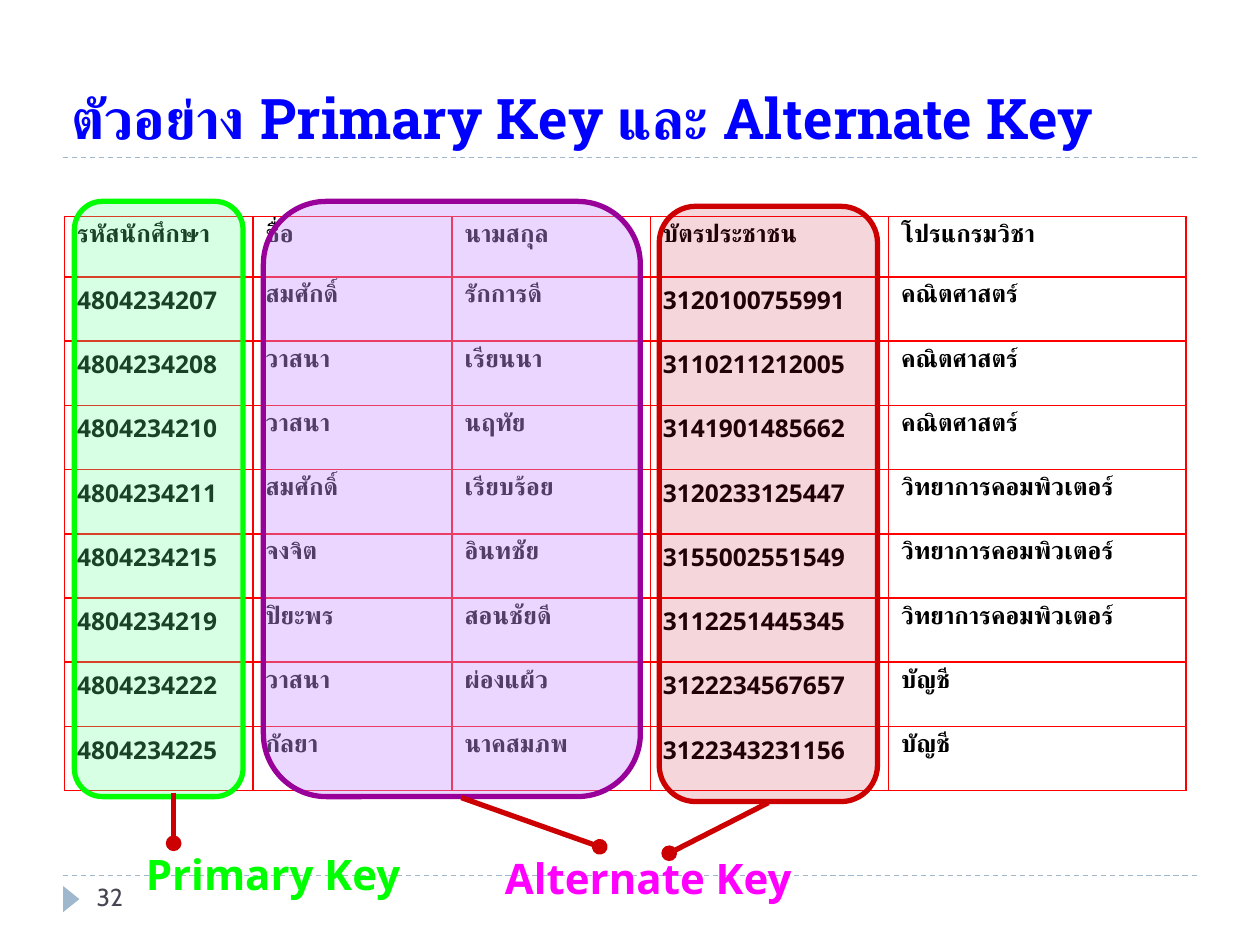
import pptx
import pptx.util
import pptx.dml.color
import pptx.enum.dml
import pptx.enum.shapes
import pptx.enum.text
import pptx.oxml
import pptx.oxml.ns
from pptx.util import Cm

COLORS = {
    "title": "0000FF", "rule": "9FB8CD", "number": "464653", "text": "000000",
    "border": "FF0000", "pointer": "CC0000",
    "green": "00FF00", "green_fill": "66FF99",
    "purple": "990099", "purple_fill": "CC99FF",
    "red": "CC0000", "red_fill": "BE0E2B", "magenta": "FF00FF",
}
HEADINGS = ["รหัสนักศึกษา", "ชื่อ", "นามสกุล", "บัตรประชาชน", "โปรแกรมวิชา"]
MATH, COMPUTING, ACCOUNTING = "คณิตศาสตร์", "วิทยาการคอมพิวเตอร์", "บัญชี"
STUDENTS = [
    ["4804234207", "สมศักดิ์", "รักการดี", "3120100755991", MATH],
    ["4804234208", "วาสนา", "เรียนนา", "3110211212005", MATH],
    ["4804234210", "วาสนา", "นฤทัย", "3141901485662", MATH],
    ["4804234211", "สมศักดิ์", "เรียบร้อย", "3120233125447", COMPUTING],
    ["4804234215", "จงจิต", "อินทชัย", "3155002551549", COMPUTING],
    ["4804234219", "ปิยะพร", "สอนชัยดี", "3112251445345", COMPUTING],
    ["4804234222", "วาสนา", "ผ่องแผ้ว", "3122234567657", ACCOUNTING],
    ["4804234225", "กัลยา", "นาคสมภพ", "3122343231156", ACCOUNTING],
]
COLUMN_WIDTHS = [3.8, 4.01, 4, 4.8, 6]
ANCHOR = pptx.enum.text.MSO_ANCHOR
SHAPE = pptx.enum.shapes.MSO_SHAPE


def rgb(name):
    """Return the named colour."""
    return pptx.dml.color.RGBColor.from_string(COLORS[name])


def add_xml(parent, tag, **attributes):
    """Append a drawing element and return it."""
    element = pptx.oxml.parse_xml(f"<a:{tag} {pptx.oxml.ns.nsdecls('a')}/>")
    for key, value in attributes.items():
        element.set(key, str(value))
    parent.append(element)
    return element


def write_text(frame, text, size=14, font="Open Sans", color="text", bold=True, hanging=0):
    """Write one formatted paragraph into a text frame."""
    paragraph = frame.paragraphs[0]
    if hanging:
        properties = paragraph._p.get_or_add_pPr()
        properties.set("marL", str(Cm(hanging)))
        properties.set("indent", str(-Cm(hanging)))
    run = paragraph.add_run()
    run.text = text
    run.font.size = pptx.util.Pt(size)
    run.font.name = font
    run.font.bold = bold
    run.font.color.rgb = rgb(color)


def add_label(slide, box, text, wrap=True, anchor=ANCHOR.TOP, **text_format):
    """Add a text box at (left, top, width, height)."""
    frame = slide.shapes.add_textbox(*map(Cm, box)).text_frame
    frame.word_wrap = wrap
    frame.vertical_anchor = anchor
    write_text(frame, text, **text_format)


def add_line(slide, start, end, color, width, dashed=False, dot=False):
    """Add a straight line, dashed or ending in a dot if asked."""
    line = slide.shapes.add_connector(
        pptx.enum.shapes.MSO_CONNECTOR.STRAIGHT, *map(Cm, start + end))
    line.line.color.rgb = rgb(color)
    line.line.width = pptx.util.Pt(width)
    if dashed:
        line.line.dash_style = pptx.enum.dml.MSO_LINE.DASH
    if dot:
        add_xml(line.line._get_or_add_ln(), "tailEnd", type="oval")
    add_xml(line._element.spPr, "effectLst")


def add_frame(slide, box):
    """Add the title, its rule and the footer inside the slide margins."""
    left, top, width, height = box
    bottom = top + height
    for y in (bottom, top):
        add_line(slide, (left, y), (left + width, y), "rule", 0.75, dashed=True)
    marker = slide.shapes.add_shape(
        SHAPE.ISOSCELES_TRIANGLE, Cm(left - 0.1), Cm(bottom + 0.31), Cm(0.53), Cm(0.33))
    marker.rotation = 90
    marker.shadow.inherit = False
    marker.fill.solid()
    marker.fill.fore_color.rgb = rgb("rule")
    marker.line.fill.background()
    add_label(slide, (left - 0.08, 0, 24.2, top), "ตัวอย่าง Primary Key และ Alternate Key",
              anchor=ANCHOR.BOTTOM, size=32, font="Roboto Slab", color="title")
    add_label(slide, (left + 0.43, bottom, 5.5, 1), "32",
              font="Cabin", color="number", bold=False)


def add_border(cell):
    """Draw the four borders of a cell and clear its fill."""
    properties = cell._tc.get_or_add_tcPr()
    for side in ("lnL", "lnR", "lnT", "lnB"):
        border = add_xml(properties, side, w=pptx.util.Pt(1))
        add_xml(add_xml(border, "solidFill"), "srgbClr", val=COLORS["border"])
    cell.fill.background()


def add_students(slide, box):
    """Add the student table; the heading row takes what the others leave."""
    rows = [HEADINGS] + STUDENTS
    table = slide.shapes.add_table(len(rows), len(HEADINGS), *map(Cm, box)).table
    table.first_row = table.horz_banding = False
    for column, width in zip(table.columns, COLUMN_WIDTHS):
        column.width = Cm(width)
    student_height = 1.295
    for index, (row, values) in enumerate(zip(table.rows, rows)):
        row.height = Cm(student_height if index else box[3] - student_height * len(STUDENTS))
        for cell, value in zip(row.cells, values):
            add_border(cell)
            write_text(cell.text_frame, value, hanging=0.95)


def add_highlight(slide, box, color, opacity):
    """Add a translucent rounded box over the columns of a key."""
    shape = slide.shapes.add_shape(SHAPE.ROUNDED_RECTANGLE, *map(Cm, box))
    shape.adjustments[0] = 0.167
    shape.shadow.inherit = False
    shape.fill.solid()
    shape.fill.fore_color.rgb = rgb(color + "_fill")
    fill_color = shape._element.spPr.find(".//" + pptx.oxml.ns.qn("a:srgbClr"))
    add_xml(fill_color, "alpha", val=opacity * 1000)
    shape.line.color.rgb = rgb(color)
    shape.line.width = pptx.util.Pt(3)


def add_keys(slide, box):
    """Add the key highlights, their pointers and the key names."""
    left, top, width, height = box
    for offset, drop, span, color, opacity in (
            (0, 0, 3.4, "green", 26),
            (3.81, 0, 7.6, "purple", 40),
            (11.79, 0.1, 4.4, "red", 17)):
        add_highlight(slide, (left + offset, top + drop, span, height), color, opacity)
    bottom = top + height
    for text, offset, drop, span, color in (
            ("Primary Key", 1.19, 0.93, 5.69, "green"),
            ("Alternate Key", 8.43, 1.01, 6.3, "magenta")):
        add_label(slide, (left + offset, bottom + drop, span, 1.27), text,
                  wrap=False, size=24, color=color)
    for start, start_drop, end, end_drop in (
            (2, -0.08, 2, 0.94), (7.8, 0.02, 10.59, 1.01), (13.99, 0.12, 11.99, 1.14)):
        add_line(slide, (left + start, bottom + start_drop),
                 (left + end, bottom + end_drop), "pointer", 3, dot=True)


def main():
    """Build and save the slide."""
    presentation = pptx.Presentation()
    presentation.slide_width, presentation.slide_height = Cm(25.4), Cm(19.05)
    slide = presentation.slides.add_slide(presentation.slide_layouts[6])
    add_frame(slide, (1.27, 3.17, 22.86, 14.48))
    add_students(slide, (1.3, 4.36, sum(COLUMN_WIDTHS), 11.58))
    add_keys(slide, (1.5, 4.06, 16.19, 12))
    presentation.save("out.pptx")


main()
